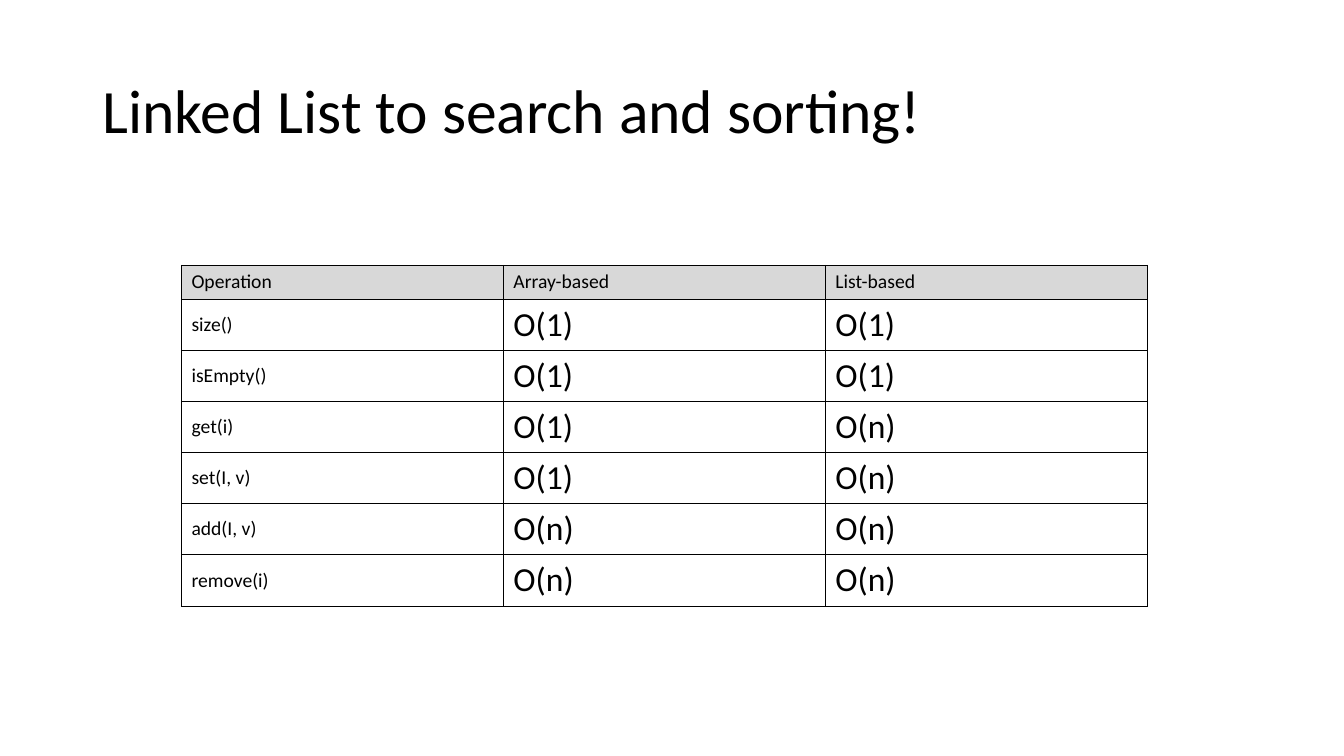
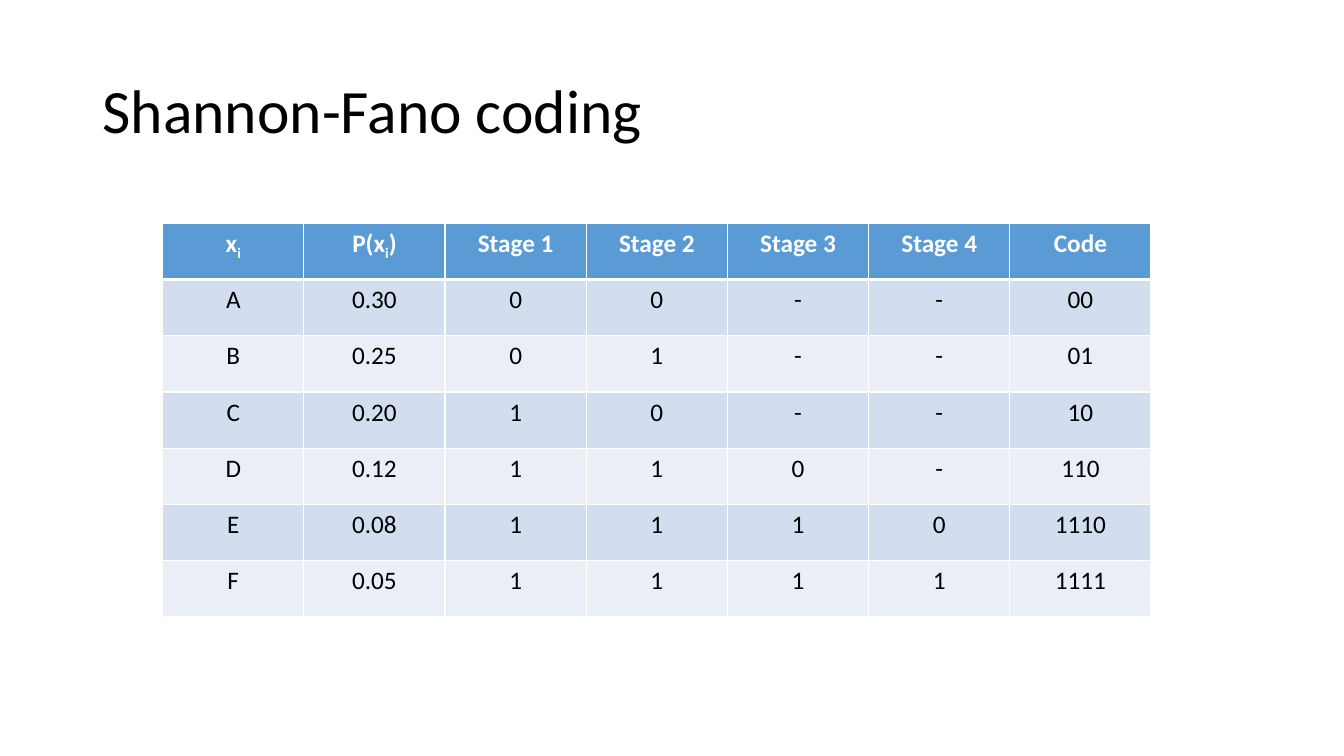
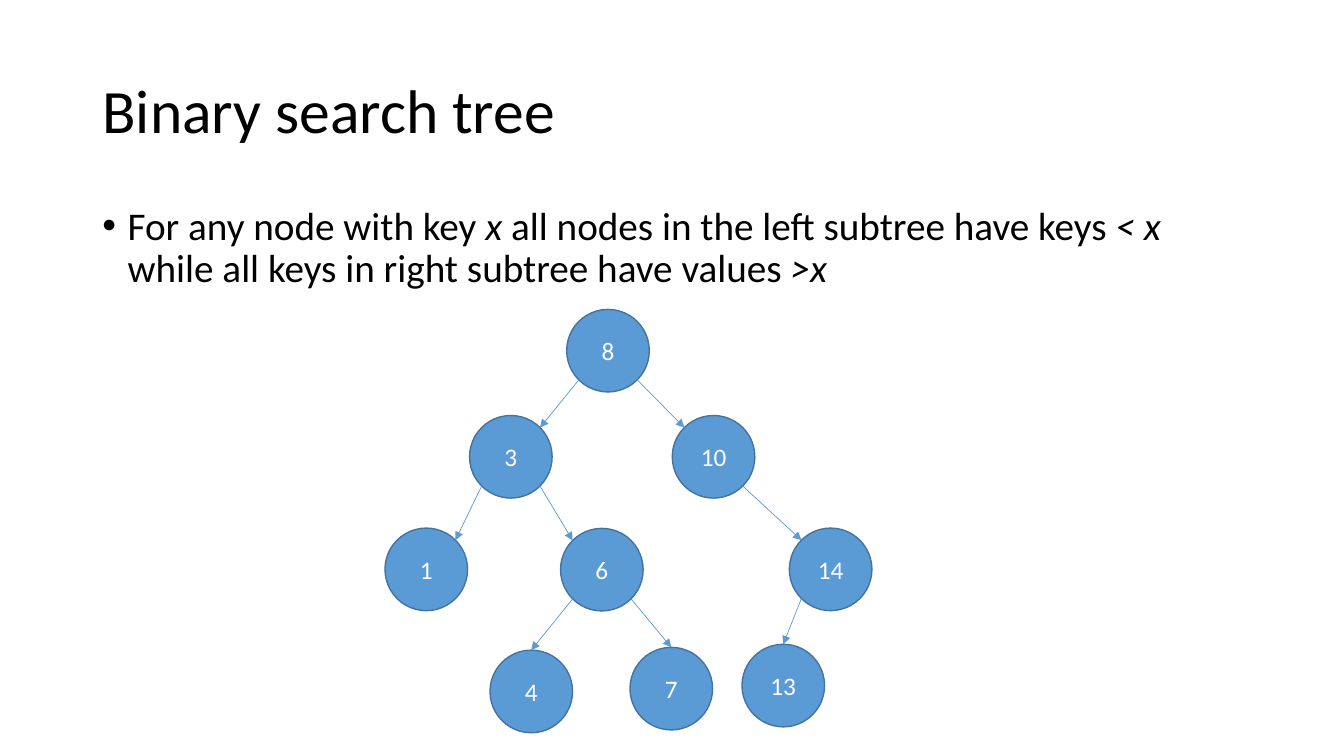
from dataclasses import dataclass
from math import sqrt

from lxml import etree
from pptx import Presentation
from pptx.dml.color import RGBColor
from pptx.enum.shapes import MSO_CONNECTOR, MSO_SHAPE
from pptx.enum.text import MSO_ANCHOR, PP_ALIGN
from pptx.oxml.ns import qn
from pptx.util import Pt

LEFT, CENTER = PP_ALIGN.LEFT, PP_ALIGN.CENTER
TOP, MIDDLE = MSO_ANCHOR.TOP, MSO_ANCHOR.MIDDLE
OVAL, STRAIGHT = MSO_SHAPE.OVAL, MSO_CONNECTOR.STRAIGHT


@dataclass(frozen=True)
class Theme:
    font: str = "Calibri"
    black: str = "000000"
    white: str = "FFFFFF"
    gray: str = "D8D8D8"
    blue: str = "5B9BD5"
    outline: str = "43739E"
    band_dark: str = "D2DEEF"
    band_light: str = "EAEFF7"
    title_size: int = 44
    body_size: int = 28
    large_size: int = 24
    text_size: int = 18
    small_size: int = 14


theme = Theme()


def write(para, text, size=theme.text_size, color=theme.black, bold=False,
          align=LEFT, accent=None):
    """Fill a paragraph; parts between bars are italic or subscript."""
    para.alignment = align
    for index, part in enumerate(text.split("|")):
        if not part:
            continue
        span = para.add_run()
        span.text = part
        span.font.name = theme.font
        span.font.size = Pt(size)
        span.font.bold = bold
        span.font.color.rgb = RGBColor.from_string(color)
        if index % 2 and accent == "italic":
            span.font.italic = True
        if index % 2 and accent == "subscript":
            span.font._element.set("baseline", "-25000")


def add_grid(page, rows, left, top, width, heights, fills, line_color,
             line_width, header_rule, anchor, cell_format):
    """Add a table; cell_format(row, column) gives the text format."""
    count = len(rows[0])
    table = page.shapes.add_table(len(rows), count, Pt(left), Pt(top),
                                  Pt(width), Pt(sum(heights))).table
    table.first_row = table.horz_banding = False
    for column in table.columns:
        column.width = Pt(width / count)
    for r, texts in enumerate(rows):
        table.rows[r].height = Pt(heights[r])
        for c, text in enumerate(texts):
            cell = table.cell(r, c)
            cell.vertical_anchor = anchor
            write(cell.text_frame.paragraphs[0], text, **cell_format(r, c))
            # Borders come before the fill in the cell properties
            edges = {"L": line_width, "R": line_width,
                     "T": header_rule if r == 1 else line_width,
                     "B": header_rule if r == 0 else line_width}
            properties = cell._tc.get_or_add_tcPr()
            for side, weight in edges.items():
                edge = etree.SubElement(properties, qn("a:ln" + side), w=str(Pt(weight)))
                solid = etree.SubElement(edge, qn("a:solidFill"))
                etree.SubElement(solid, qn("a:srgbClr"), val=line_color)
            if fills[r]:
                cell.fill.solid()
                cell.fill.fore_color.rgb = RGBColor.from_string(fills[r])
            else:
                cell.fill.background()


deck = Presentation()
deck.slide_width, deck.slide_height = Pt(960), Pt(540)

# Shared title and body places
for holder, top, height in zip(deck.slide_master.placeholders, (28.8, 144), (104.4, 339)):
    holder.left, holder.top = Pt(66), Pt(top)
    holder.width, holder.height = Pt(828), Pt(height)

# Pages with titles
CONTENT, TITLE_ONLY = deck.slide_layouts[1], deck.slide_layouts[5]
pages = []
for title, layout in (("Linked List to search and sorting!", TITLE_ONLY),
                      ("Shannon-Fano coding", TITLE_ONLY),
                      ("Binary search tree", CONTENT)):
    page = deck.slides.add_slide(layout)
    frame = page.shapes.title.text_frame
    frame.vertical_anchor = MIDDLE
    para = frame.paragraphs[0]
    para.line_spacing = 0.9
    write(para, title, size=theme.title_size)
    pages.append(page)
cost_page, coding_page, tree_page = pages

# Operation costs
cost_rows = [
    ("Operation", "Array-based", "List-based"),
    ("size()", "O(1)", "O(1)"),
    ("isEmpty()", "O(1)", "O(1)"),
    ("get(i)", "O(1)", "O(n)"),
    ("set(I, v)", "O(1)", "O(n)"),
    ("add(I, v)", "O(n)", "O(n)"),
    ("remove(i)", "O(n)", "O(n)"),
]
add_grid(cost_page, cost_rows, 129.6, 189.4, 690, [24.2] + [36.5] * 6,
         [theme.gray] + [None] * 6, theme.black, 0.5, 0.5, MIDDLE,
         lambda r, c: {"size": theme.large_size if r and c else theme.small_size})

# Code construction
coding_rows = [
    ("x|i", "P(x|i|)", "Stage 1", "Stage 2", "Stage 3", "Stage 4", "Code"),
    ("A", "0.30", "0", "0", "-", "-", "00"),
    ("B", "0.25", "0", "1", "-", "-", "01"),
    ("C", "0.20", "1", "0", "-", "-", "10"),
    ("D", "0.12", "1", "1", "0", "-", "110"),
    ("E", "0.08", "1", "1", "1", "0", "1110"),
    ("F", "0.05", "1", "1", "1", "1", "1111"),
]
add_grid(coding_page, coding_rows, 116.2, 159.4, 706, [40.2] * 7,
         [theme.blue] + [theme.band_dark, theme.band_light] * 3,
         theme.white, 1, 3, TOP,
         lambda r, c: {"color": theme.black if r else theme.white, "bold": r == 0,
                       "align": CENTER, "accent": "subscript"})

# Tree rule
para = tree_page.placeholders[1].text_frame.paragraphs[0]
para.line_spacing, para.space_before = 0.9, Pt(10)
indent = para._p.get_or_add_pPr()
indent.set("marL", str(Pt(18)))
indent.set("indent", str(Pt(-18)))
write(para, "For any node with key |x| all nodes in the left subtree have keys |< x|"
            " while all keys in right subtree have values |>x",
      size=theme.body_size, accent="italic")

# Tree nodes: key to left and top
DIAMETER = 59
node_places = {
    8: (404.8, 221), 10: (480.2, 296.8), 3: (335.4, 296.8), 1: (275, 377.2),
    6: (400.4, 377.4), 4: (350, 464.4), 7: (450, 462.4), 14: (563.8, 377.2),
    13: (530, 460.2),
}
nodes = {}
for key, (left, top) in node_places.items():
    node = tree_page.shapes.add_shape(OVAL, Pt(left), Pt(top), Pt(DIAMETER), Pt(DIAMETER))
    node.shadow.inherit = False
    node.fill.solid()
    node.fill.fore_color.rgb = RGBColor.from_string(theme.blue)
    node.line.color.rgb = RGBColor.from_string(theme.outline)
    node.line.width = Pt(1)
    node.text_frame.vertical_anchor = MIDDLE
    write(node.text_frame.paragraphs[0], str(key), color=theme.white, align=CENTER)
    nodes[key] = node

# Branches leave and meet the circles on their diagonals; leaves join at the top
NEAR = DIAMETER / 2 * (1 - sqrt(0.5))
FAR = DIAMETER - NEAR
branches = [(8, 3), (8, 10), (3, 1), (3, 6), (6, 4), (6, 7), (14, 13), (10, 14)]
for parent, child in branches:
    (parent_x, parent_y), (child_x, child_y) = node_places[parent], node_places[child]
    start, end = (NEAR, FAR) if child < parent else (FAR, NEAR)
    branch = tree_page.shapes.add_connector(
        STRAIGHT, Pt(parent_x + start), Pt(parent_y + FAR),
        Pt(child_x + end), Pt(child_y + NEAR))
    if child in (4, 7, 13):
        branch.end_connect(nodes[child], 0)
    branch.line.color.rgb = RGBColor.from_string(theme.blue)
    branch.line.width = Pt(0.5)
    properties = branch.element.spPr
    etree.SubElement(properties.find(qn("a:ln")), qn("a:tailEnd"), type="triangle")
    etree.SubElement(properties, qn("a:effectLst"))

deck.save("out.pptx")
